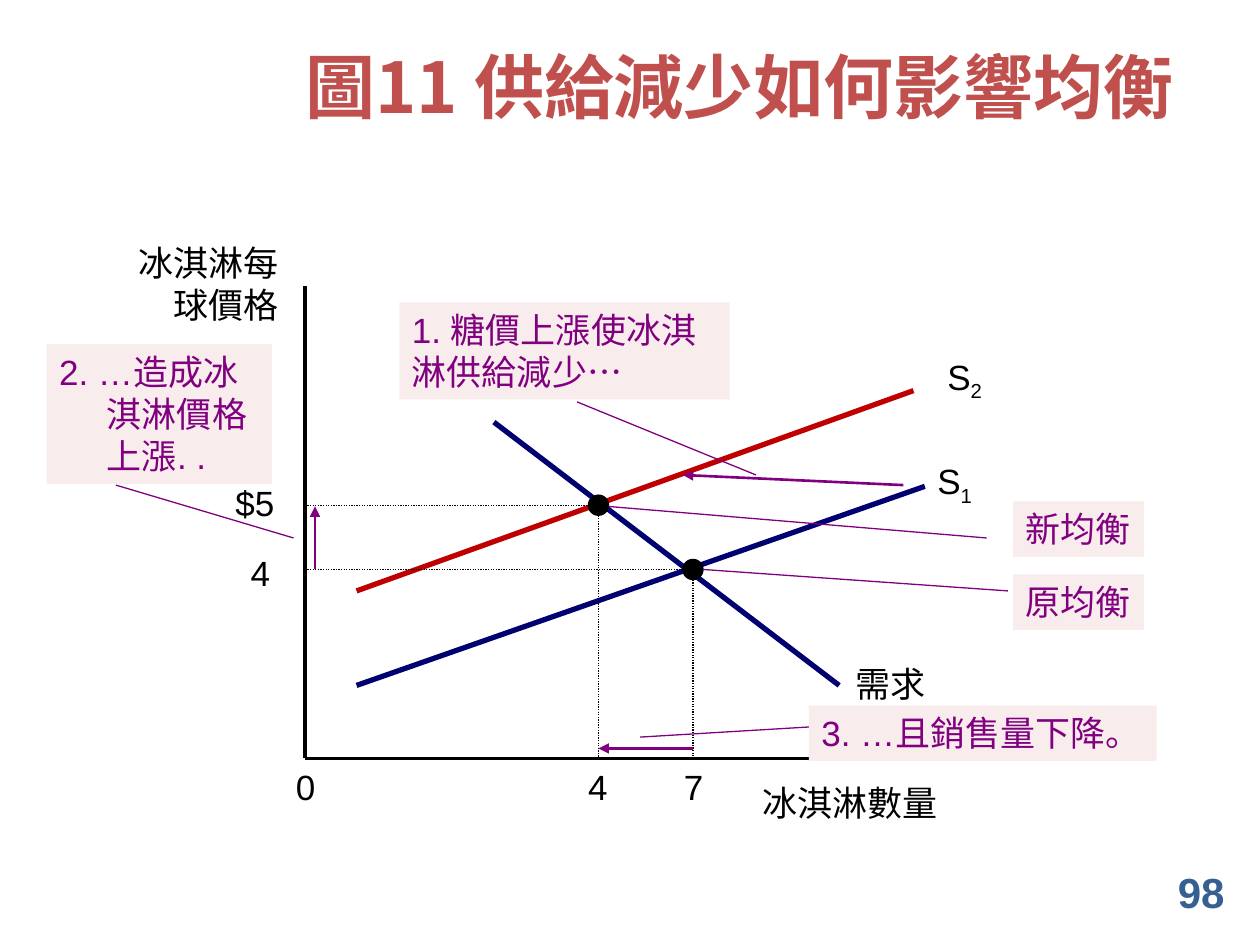
import dataclasses

import lxml.etree
import pptx
import pptx.dml.color
import pptx.enum.dml
import pptx.enum.shapes
import pptx.enum.text
import pptx.oxml.ns
import pptx.util

Inches = pptx.util.Inches
ALIGN = pptx.enum.text.PP_ALIGN
SHAPES = pptx.enum.shapes.MSO_SHAPE
LATIN, CHINESE = "Arial", "Noto Sans CJK SC"
BLACK, WHITE, NAVY, RED = "000000", "FFFFFF", "000070", "C00000"
PURPLE, PINK, TITLE_RED, BLUE = "800080", "F8EDEC", "C0504D", "376092"


@dataclasses.dataclass
class Box:
    left: float
    top: float
    width: float
    height: float

    def inside(self, left, top, width, height):
        return Box(self.left + left, self.top + top, width, height)

    def lengths(self):
        return [Inches(v) for v in (self.left, self.top, self.width, self.height)]


def rgb(color):
    return pptx.dml.color.RGBColor.from_string(color)


def add_xml(parent, tag, **attributes):
    name = pptx.oxml.ns.qn(tag)
    return lxml.etree.SubElement(parent, name, attributes)


def style_span(span, color, size=20, bold=False, latin=LATIN):
    span.font.size = pptx.util.Pt(size)
    span.font.bold = bold
    span.font.name = latin
    span.font.color.rgb = rgb(color)
    add_xml(span._r.get_or_add_rPr(), "a:ea", typeface=CHINESE)


def write(shape, text, color=BLACK, align=ALIGN.LEFT, wrap=False, size=20, bold=False):
    frame = shape.text_frame
    frame.text = text
    frame.word_wrap = wrap
    frame.vertical_anchor = pptx.enum.text.MSO_ANCHOR.TOP
    para = frame.paragraphs[0]
    para.alignment = align
    style_span(para.runs[0], color, size, bold)
    return para


def add_label(page, box, text, **style):
    return write(page.shapes.add_textbox(*box.lengths()), text, **style)


def add_filled(page, kind, box, fill, outline=None, width=0.75):
    shape = page.shapes.add_shape(kind, *box.lengths())
    shape.shadow.inherit = False
    shape.fill.solid()
    shape.fill.fore_color.rgb = rgb(fill)
    if outline:
        shape.line.color.rgb = rgb(outline)
        shape.line.width = pptx.util.Pt(width)
    else:
        shape.line.fill.background()
    return shape


def add_line(page, box, start, end, color, width=0.75, dotted=False, arrow=False):
    """Draw a line between two points given relative to the box."""
    ends = [Inches(v) for x, y in (start, end) for v in (box.left + x, box.top + y)]
    line = page.shapes.add_connector(pptx.enum.shapes.MSO_CONNECTOR.STRAIGHT, *ends)
    line.line.color.rgb = rgb(color)
    line.line.width = pptx.util.Pt(width)
    if dotted:
        line.line.dash_style = pptx.enum.dml.MSO_LINE.ROUND_DOT
    if arrow:
        add_xml(line.line._get_or_add_ln(), "a:tailEnd", type="triangle")
    add_xml(line._element.spPr, "a:effectLst")


def add_title(page, box, text):
    title = page.shapes.title
    title.left, title.top, title.width, title.height = box.lengths()
    frame = title.text_frame
    frame.text = text
    frame.auto_size = pptx.enum.text.MSO_AUTO_SIZE.NONE
    frame.vertical_anchor = pptx.enum.text.MSO_ANCHOR.MIDDLE
    frame.paragraphs[0].alignment = ALIGN.CENTER
    style_span(frame.paragraphs[0].runs[0], TITLE_RED, 40, True, CHINESE)


def add_axes(page, box):
    add_filled(page, SHAPES.RECTANGLE, box, WHITE, WHITE, 2)
    origin = (0, box.height)
    for end in ((0, 0), (box.width, box.height)):
        add_line(page, box, origin, end, BLACK, 2.25)
    add_label(page, box.inside(-1.55, -0.4, 1.44, 0.77), "冰淇淋每球價格",
              align=ALIGN.RIGHT, wrap=True)
    add_label(page, box.inside(3.53, 3.88, 1.6, 0.44), "冰淇淋數量")
    add_label(page, box.inside(-0.17, 3.76, 0.36, 0.44), "0")


def add_curves(page, box):
    curves = [
        ((0.41, 3.17), (4.92, 1.59), NAVY, (4.92, 1.33, 0.49), "S", "1"),
        ((0.41, 2.42), (4.83, 0.83), RED, (5, 0.5, 0.49), "S", "2"),
        ((1.5, 1.08), (4.24, 3.17), NAVY, (4.27, 2.94, 0.76), "需求", ""),
    ]
    for start, end, color, place, name, subscript in curves:
        add_line(page, box, start, end, color, 3)
        para = add_label(page, box.inside(*place, 0.44), name)
        if subscript:
            span = para.add_run()
            span.text = subscript
            style_span(span, BLACK)
            span._r.get_or_add_rPr().set("baseline", "-25000")


def add_equilibria(page, box):
    """Mark each equilibrium with a dot, guides to both axes and its values."""
    points = [
        (2.33, 1.74, "4", (2.15, 3.76, 0.36), "$5", (-0.65, 1.5, 0.51)),
        (3.08, 2.25, "7", (2.91, 3.76, 0.36), "4", (-0.53, 2.06, 0.36)),
    ]
    for x, y, quantity, quantity_place, price, price_place in points:
        add_line(page, box, (x, y), (x, box.height), BLACK, dotted=True)
        add_line(page, box, (0, y), (x, y), BLACK, dotted=True)
        add_label(page, box.inside(*quantity_place, 0.44), quantity)
        add_label(page, box.inside(*price_place, 0.44), price)
        dot = box.inside(x - 0.08, y - 0.08, 0.16, 0.16)
        add_filled(page, SHAPES.OVAL, dot, BLACK, BLACK)


def add_shift_arrows(page, box):
    shifts = [((4.75, 1.58), (3, 1.5)), ((0.08, 2.25), (0.08, 1.75)),
              ((3.08, 3.67), (2.33, 3.67))]
    for start, end in shifts:
        add_line(page, box, start, end, PURPLE, 1.5, arrow=True)


def add_callout(page, box, text, start, end, wrap=False, hanging=False):
    """Place a tinted note and its leader line, relative to the note."""
    note = add_filled(page, SHAPES.RECTANGLE, box, PINK)
    para = write(note, text, color=PURPLE, wrap=wrap)
    if hanging:
        indent = Inches(0.38)
        properties = para._p.get_or_add_pPr()
        properties.set("marL", str(indent))
        properties.set("indent", str(-indent))
    add_line(page, box, start, end, PURPLE)


def add_callouts(page, box):
    add_callout(page, box.inside(5.62, 1.71, 1.04, 0.44), "新均衡",
                (-3.21, 0.04), (-0.21, 0.29))
    add_callout(page, box.inside(5.62, 2.29, 1.04, 0.44), "原均衡",
                (-2.46, -0.04), (-0.04, 0.13))
    add_callout(page, box.inside(0.75, 0.13, 2.62, 0.77), "1. 糖價上漲使冰淇淋供給減少…",
                (1.41, 0.79), (2.83, 1.37), wrap=True)
    add_callout(page, box.inside(-2.05, 0.46, 1.79, 1.11), "2. …造成冰淇淋價格上漲. .",
                (1.96, 1.54), (0.55, 1.12), wrap=True, hanging=True)
    add_callout(page, box.inside(4, 3.33, 2.76, 0.44), "3. …且銷售量下降。",
                (-1.34, 0.25), (0, 0.17), hanging=True)


def main():
    deck = pptx.Presentation()
    deck.slide_width, deck.slide_height = Inches(10), Inches(7.5)
    page = deck.slides.add_slide(deck.slide_layouts[5])
    plot = Box(2.42, 2.27, 5.58, 3.75)
    add_title(page, Box(2.24, 0.05, 7.26, 1.25), "圖11 供給減少如何影響均衡")
    for add_part in (add_axes, add_curves, add_equilibria, add_shift_arrows, add_callouts):
        add_part(page, plot)
    add_label(page, Box(9.25, 6.83, 0.62, 0.5), "98", color=BLUE, size=24, bold=True)
    deck.save("out.pptx")


if __name__ == "__main__":
    main()
